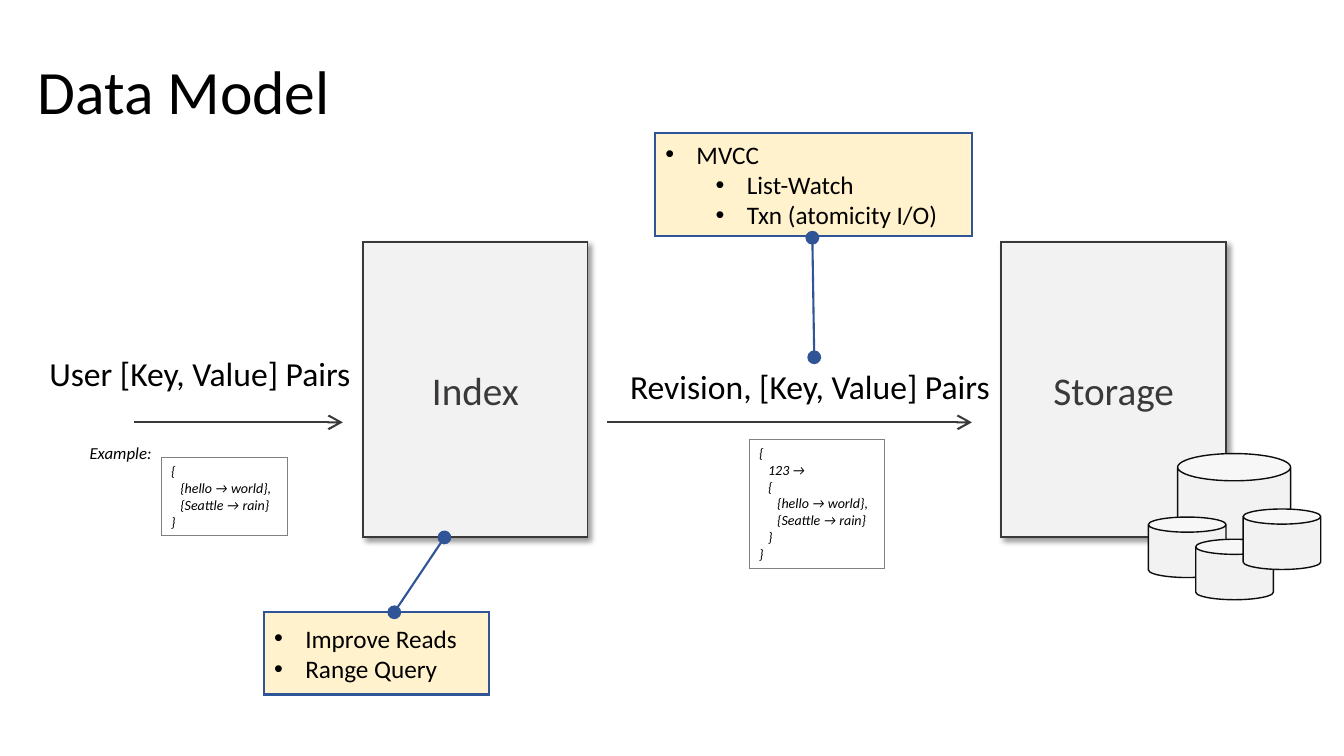
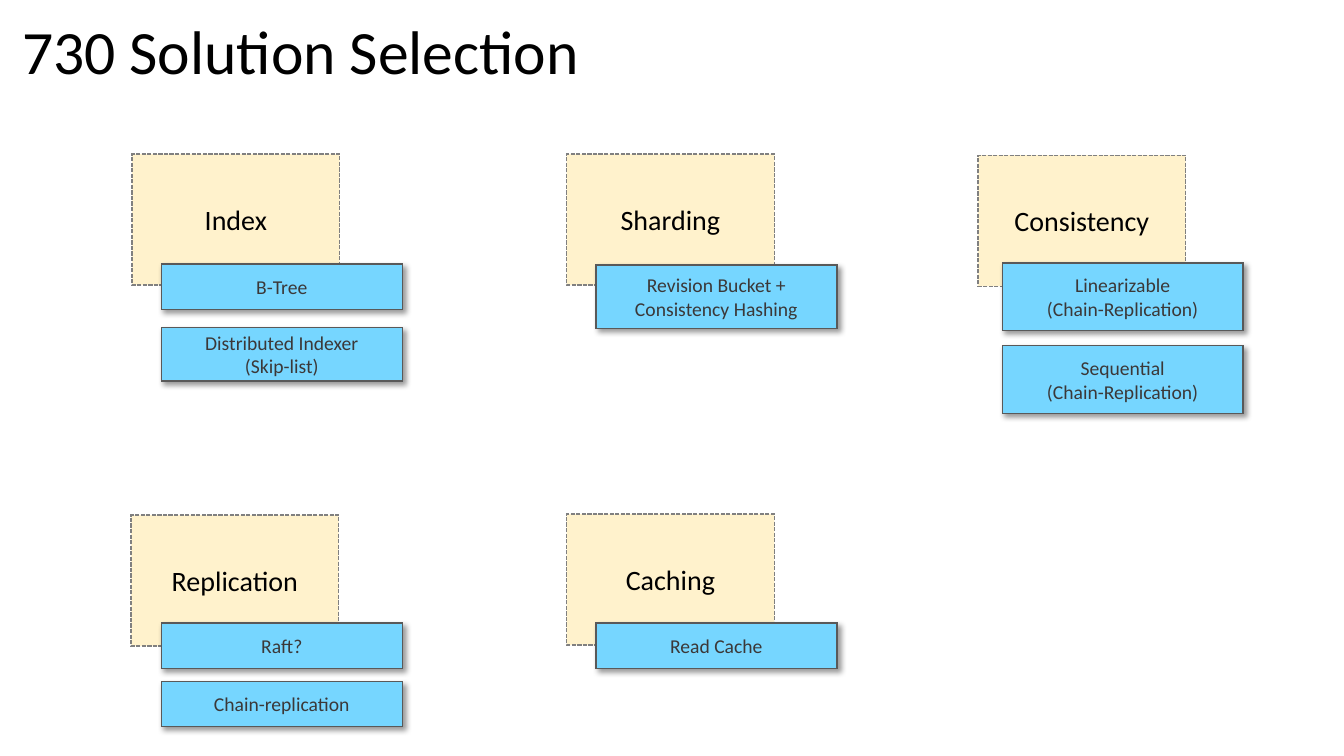
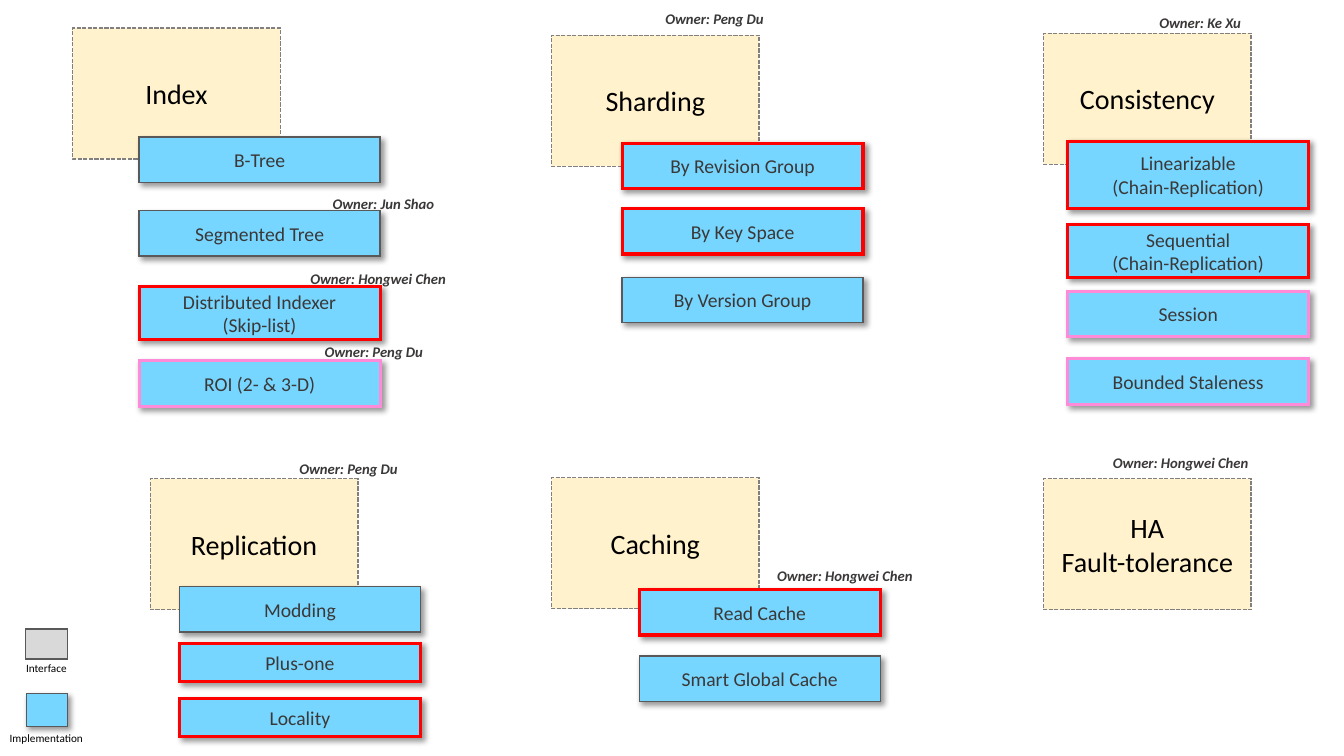
from dataclasses import dataclass

from lxml.etree import SubElement
from pptx import Presentation
from pptx.dml.color import RGBColor
from pptx.enum.dml import MSO_LINE_DASH_STYLE as Dash
from pptx.enum.shapes import MSO_CONNECTOR as Connector, MSO_SHAPE as Preset
from pptx.enum.text import MSO_ANCHOR as Anchor, MSO_AUTO_SIZE as AutoSize, PP_ALIGN as Align
from pptx.oxml.ns import qn
from pptx.util import Inches, Pt


@dataclass(frozen=True)
class Theme:
    font: str = "Calibri"
    # Colours
    black: str = "000000"
    ink: str = "3B3838"
    panel: str = "F2F2F2"
    cream: str = "FFF2CC"
    sky: str = "76D6FF"
    blue: str = "2F5597"
    grey: str = "808080"
    dark_grey: str = "595959"
    light_grey: str = "D9D9D9"
    can_line: str = "0D0D0D"
    red: str = "FF0000"
    pink: str = "FF8AD8"
    # Type sizes
    title: float = 44
    block: float = 28
    flow: float = 24
    card: float = 20
    callout: float = 18
    item: float = 14
    example: float = 12
    owner: float = 10.5
    code: float = 10
    legend: float = 8


theme = Theme()


def write(shape, text, size, color=theme.black, bold=False, italic=False, align=Align.LEFT,
          anchor=Anchor.TOP, wrap=True, side_margin=0.1, levels=None, step=0, bullet=False,
          spacing=None):
    """Fill a shape with one paragraph per line of text."""
    frame = shape.text_frame
    frame.text = text
    frame.word_wrap = wrap
    frame.auto_size = AutoSize.NONE if wrap else AutoSize.SHAPE_TO_FIT_TEXT
    frame.vertical_anchor = anchor
    frame.margin_left = frame.margin_right = Inches(side_margin)
    for number, paragraph in enumerate(frame.paragraphs):
        paragraph.alignment = align
        if spacing:
            paragraph.line_spacing = spacing
        font = paragraph.runs[0].font
        font.name, font.size = theme.font, Pt(size)
        font.bold, font.italic = bold, italic
        font.color.rgb = RGBColor.from_string(color)
        if levels:
            hanging = 0.31 if bullet else 0
            properties = paragraph._p.get_or_add_pPr()
            properties.set("marL", str(Inches(hanging + step * levels[number])))
            properties.set("indent", str(-Inches(hanging)))
            if bullet:
                SubElement(properties, qn("a:buFont"), typeface="Arial")
                SubElement(properties, qn("a:buChar"), char="•")


def add_box(slide, at, fill, line, width=1.0, preset=Preset.RECTANGLE, dash=None, shadow=False):
    """Add a preset shape with its fill, sharp outline and optional soft shadow."""
    shape = slide.shapes.add_shape(preset, *map(Inches, at))
    if fill:
        shape.fill.solid()
        shape.fill.fore_color.rgb = RGBColor.from_string(fill)
    else:
        shape.fill.background()
    shape.line.color.rgb = RGBColor.from_string(line)
    shape.line.width = Pt(width)
    if dash:
        shape.line.dash_style = dash
    SubElement(shape._element.spPr.find(qn("a:ln")), qn("a:miter"), lim="800000")
    shape.shadow.inherit = False
    if shadow:
        effects = shape._element.spPr.find(qn("a:effectLst"))
        outer = SubElement(effects, qn("a:outerShdw"), blurRad=str(Pt(4)), dist=str(Pt(3)),
                           dir="2700000", algn="tl", rotWithShape="0")
        shade = SubElement(outer, qn("a:srgbClr"), val=theme.black)
        SubElement(shade, qn("a:alpha"), val="40000")
    return shape


presentation = Presentation()
presentation.slide_width, presentation.slide_height = Inches(13.33), Inches(7.5)
title_only, blank = presentation.slide_layouts[5], presentation.slide_layouts[6]
model_slide = presentation.slides.add_slide(title_only)
selection_slide = presentation.slides.add_slide(title_only)
owners_slide = presentation.slides.add_slide(blank)

# Titles
for slide, text, at in (
    (model_slide, "Data Model", (0.27, 0.21, 11.5, 1.45)),
    (selection_slide, "730 Solution Selection", (0.12, 0.11, 6.02, 0.87)),
):
    title = slide.shapes.title
    title.left, title.top, title.width, title.height = map(Inches, at)
    write(title, text, theme.title, anchor=Anchor.MIDDLE, spacing=0.9)

# Data model: index and storage blocks
for text, left in (("Index", 3.6), ("Storage", 9.93)):
    block = add_box(model_slide, (left, 2.4, 2.23, 2.93), theme.panel, theme.ink, shadow=True)
    write(block, text, theme.block, theme.ink, align=Align.CENTER, anchor=Anchor.MIDDLE)

# Data model: flow arrows
for start, end in ((1.33, 3.4), (6.02, 9.64)):
    arrow = model_slide.shapes.add_connector(
        Connector.STRAIGHT, Inches(start), Inches(4.19), Inches(end), Inches(4.19))
    arrow.line.color.rgb = RGBColor.from_string(theme.ink)
    arrow.line.width = Pt(1.5)
    properties = arrow._element.spPr
    SubElement(properties.find(qn("a:ln")), qn("a:tailEnd"), type="arrow", w="lg", len="lg")
    SubElement(properties, qn("a:effectLst"))

# Data model: labels
for text, at, size, italic in (
    ("User [Key, Value] Pairs", (0.39, 3.45, 3.22, 0.5), theme.flow, False),
    ("Revision, [Key, Value] Pairs", (6.15, 3.58, 3.81, 0.5), theme.flow, False),
    ("Example:", (0.79, 4.34, 0.9, 0.3), theme.example, True),
):
    label = model_slide.shapes.add_textbox(*map(Inches, at))
    write(label, text, size, italic=italic, wrap=False)

# Data model: storage cylinders
for at in ((11.68, 4.5, 1.12, 1.08), (11.39, 5.13, 0.77, 0.6),
           (11.86, 5.35, 0.77, 0.6), (12.33, 5.05, 0.77, 0.6)):
    add_box(model_slide, at, theme.panel, theme.can_line, preset=Preset.CAN)

# Data model: callouts with round line ends
for text, levels, at, pointer in (
    ("Improve Reads\nRange Query", (0, 0), (2.62, 6.07, 2.23, 0.82), (0.005, 0.579, -0.901, 0.802)),
    ("MVCC\nList-Watch\nTxn (atomicity I/O)", (0, 1, 1), (6.5, 1.32, 3.14, 1.02),
     (1.018, 0.496, 2.181, 0.502)),
):
    callout = add_box(model_slide, at, theme.cream, theme.blue, 1.5, Preset.LINE_CALLOUT_1)
    for number, value in enumerate(pointer):
        callout.adjustments[number] = value
    outline = callout._element.spPr.find(qn("a:ln"))
    for end in ("a:headEnd", "a:tailEnd"):
        SubElement(outline, qn(end), type="oval", w="lg", len="lg")
    write(callout, text, theme.callout, anchor=Anchor.MIDDLE, levels=levels, step=0.5, bullet=True)

# Data model: example records
for text, levels, at in (
    ("{\n{hello → world},\n{Seattle → rain}\n}", (0, 1, 1, 0), (1.6, 4.54, 1.25, 0.77)),
    ("{\n123 →\n{\n{hello → world},\n{Seattle → rain}\n}\n}", (0, 1, 1, 2, 2, 1, 0),
     (7.43, 4.36, 1.34, 1.28)),
):
    record = add_box(model_slide, at, None, theme.grey, 0.75)
    write(record, text, theme.code, italic=True, wrap=False, levels=levels, step=0.09)

# Cards: heading, left, top, left of items, then items as text, top, height, outline
plain, red, pink = (theme.dark_grey, 1), (theme.red, 2.25), (theme.pink, 2.25)
selection_cards = (
    ("Index", 1.31, 1.53, 1.6, (
        ("B-Tree", 2.62, 0.45, plain),
        ("Distributed Indexer\n(Skip-list)", 3.25, 0.53, plain))),
    ("Sharding", 5.62, 1.53, 5.91, (
        ("Revision Bucket + Consistency Hashing", 2.63, 0.63, plain),)),
    ("Consistency", 9.7, 1.54, 9.94, (
        ("Linearizable\n(Chain-Replication)", 2.61, 0.67, plain),
        ("Sequential\n(Chain-Replication)", 3.43, 0.67, plain))),
    ("Replication", 1.3, 5.11, 1.6, (
        ("Raft?", 6.18, 0.45, plain),
        ("Chain-replication", 6.76, 0.45, plain))),
    ("Caching", 5.62, 5.1, 5.91, (
        ("Read Cache", 6.18, 0.45, plain),)),
)
owners_cards = (
    ("Index", 0.72, 0.28, 1.38, (
        ("B-Tree", 1.36, 0.45, plain),
        ("Segmented Tree", 2.09, 0.45, plain),
        ("Distributed Indexer\n(Skip-list)", 2.84, 0.53, red),
        ("ROI (2- & 3-D)", 3.58, 0.45, pink))),
    ("Sharding", 5.47, 0.35, 6.17, (
        ("By Revision Group", 1.42, 0.45, red),
        ("By Key Space", 2.07, 0.45, red),
        ("By Version Group", 2.75, 0.45, plain))),
    ("Consistency", 10.35, 0.33, 10.59, (
        ("Linearizable\n(Chain-Replication)", 1.4, 0.67, red),
        ("Sequential\n(Chain-Replication)", 2.23, 0.52, red),
        ("Session", 2.89, 0.45, pink),
        ("Bounded Staleness", 3.56, 0.45, pink))),
    ("Replication", 1.49, 4.75, 1.78, (
        ("Modding", 5.82, 0.45, plain),
        ("Plus-one", 6.38, 0.38, red),
        ("Locality", 6.93, 0.38, red))),
    ("Caching", 5.47, 4.74, 6.34, (
        ("Read Cache", 5.85, 0.45, red),
        ("Smart Global Cache", 6.51, 0.45, plain))),
    ("HA\nFault-tolerance", 10.35, 4.75, 10.59, ()),
)
for slide, cards in ((selection_slide, selection_cards), (owners_slide, owners_cards)):
    for heading, left, top, item_left, items in cards:
        card = add_box(slide, (left, top, 2.06, 1.3), theme.cream, theme.grey, dash=Dash.SQUARE_DOT)
        write(card, heading, theme.card, align=Align.CENTER, anchor=Anchor.MIDDLE)
        for text, item_top, height, outline in items:
            item = add_box(slide, (item_left, item_top, 2.39, height), theme.sky, *outline, shadow=True)
            write(item, text, theme.item, theme.ink, align=Align.CENTER, anchor=Anchor.MIDDLE)

# Owners
owner_widths = {"Ke Xu": 1.04, "Peng Du": 1.19, "Jun Shao": 1.22, "Hongwei Chen": 1.57}
for name, left, top in (
    ("Jun Shao", 3.2, 1.88), ("Hongwei Chen", 2.98, 2.63), ("Peng Du", 3.12, 3.35),
    ("Peng Du", 6.5, 0.05), ("Ke Xu", 11.4, 0.09), ("Peng Du", 2.87, 4.51),
    ("Hongwei Chen", 7.61, 5.57), ("Hongwei Chen", 10.94, 4.45),
):
    owner = owners_slide.shapes.add_textbox(*map(Inches, (left, top, owner_widths[name], 0.28)))
    write(owner, f"Owner: {name}", theme.owner, theme.ink, bold=True, italic=True, wrap=False)

# Legend
for text, at, fill, shadow, label_top in (
    ("Interface", (0.25, 6.24, 0.42, 0.3), theme.light_grey, False, 6.51),
    ("Implementation", (0.26, 6.88, 0.41, 0.33), theme.sky, True, 7.21),
):
    add_box(owners_slide, at, fill, theme.dark_grey, shadow=shadow)
    label = owners_slide.shapes.add_textbox(*map(Inches, (0, label_top, 0.92, 0.24)))
    write(label, text, theme.legend, align=Align.CENTER, side_margin=0)

presentation.save("out.pptx")
